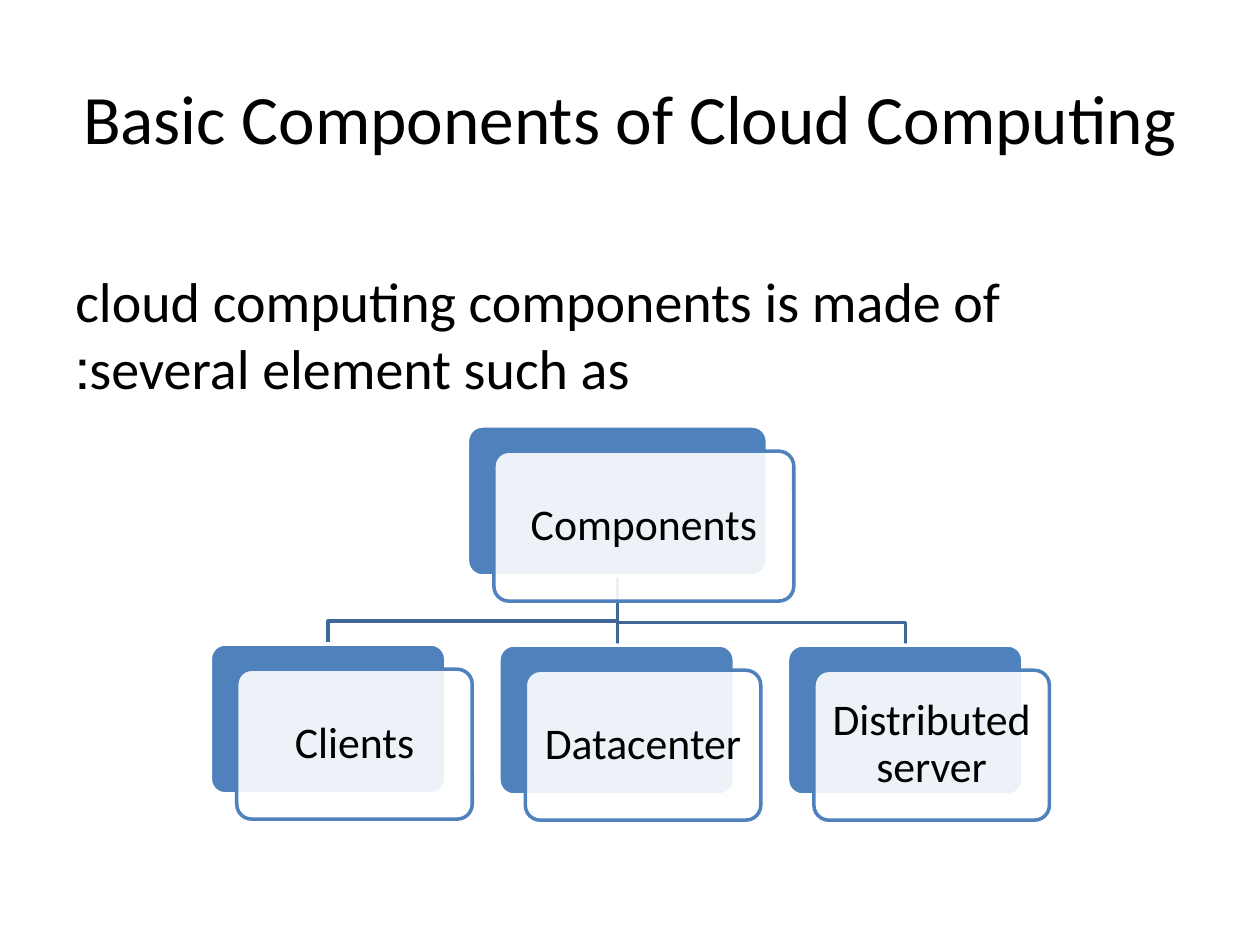
from lxml import etree
from pptx import Presentation
from pptx.dml.color import RGBColor
from pptx.enum.shapes import MSO_CONNECTOR as Connector, MSO_SHAPE as Shape
from pptx.enum.text import MSO_ANCHOR as Anchor, MSO_AUTO_SIZE as AutoSize, PP_ALIGN as Align
from pptx.oxml.ns import qn
from pptx.util import Pt

# Content
TITLE = "Basic Components of Cloud Computing"
INTRO = "cloud computing components is made of several element such as:"
ROOT = ("Components", 267.1, 243.4, 171.4)
CHILDREN = [("Clients", 368), ("Datacenter", 368.6), ("Distributed server", 368.6)]

# Layout, in points
CHILD_LEFT, CHILD_PITCH, CHILD_WIDTH = 120.2, 164.9, 134.6
CARD_HEIGHT, OFFSET_X, OFFSET_Y = 85.7, 15.1, 14.4
BEND = 13
BLUE, DARK_BLUE, WHITE, BLACK = "4F81BD", "3F6797", "FFFFFF", "000000"


def color(value):
    return RGBColor.from_string(value)


def write(frame, text, size, align):
    frame.text = text
    frame.word_wrap = True
    frame.auto_size = AutoSize.NONE
    para = frame.paragraphs[0]
    para.alignment = align
    font = para.runs[0].font
    font.name, font.size = "Calibri", Pt(size)
    font.color.rgb = color(BLACK)
    return para


def style_line(line, value):
    line.color.rgb = color(value)
    line.width = Pt(2)


def add_panel(left, top, width, fill, outline):
    panel = page.shapes.add_shape(Shape.ROUNDED_RECTANGLE, Pt(left), Pt(top),
                                  Pt(width), Pt(CARD_HEIGHT))
    panel.adjustments[0] = 0.1
    panel.shadow.inherit = False
    panel.fill.solid()
    panel.fill.fore_color.rgb = color(fill)
    style_line(panel.line, outline)
    return panel


def add_card(label, left, top, width):
    add_panel(left, top, width, BLUE, WHITE)
    front = add_panel(left + OFFSET_X, top + OFFSET_Y, width, WHITE, BLUE)
    tint = front.fill._xPr.find(qn("a:solidFill"))[0]
    etree.SubElement(tint, qn("a:alpha")).set("val", "90000")
    frame = front.text_frame
    frame.margin_left = frame.margin_right = Pt(7.2)
    frame.vertical_anchor = Anchor.MIDDLE
    write(frame, label, 25, Align.CENTER).line_spacing = 0.9


def add_branch(start_x, start_y, end_x, end_y):
    if abs(start_x - end_x) < 1:
        branch = page.shapes.add_connector(Connector.STRAIGHT, Pt(start_x), Pt(start_y),
                                           Pt(start_x), Pt(end_y))
        etree.SubElement(branch._element.spPr, qn("a:effectLst"))
    else:
        bend_y = end_y - BEND
        builder = page.shapes.build_freeform(Pt(start_x), Pt(start_y))
        builder.add_line_segments([(Pt(start_x), Pt(bend_y)), (Pt(end_x), Pt(bend_y)),
                                   (Pt(end_x), Pt(end_y))], close=False)
        branch = builder.convert_to_shape()
        branch.fill.background()
        branch.shadow.inherit = False
    style_line(branch.line, DARK_BLUE)


deck = Presentation()
deck.slide_width, deck.slide_height = Pt(720), Pt(540)
page = deck.slides.add_slide(deck.slide_layouts[5])

# Title
title = page.shapes.title
title.left, title.top, title.width, title.height = Pt(36), Pt(21.6), Pt(648), Pt(90)
title.text_frame.vertical_anchor = Anchor.MIDDLE
write(title.text_frame, TITLE, 39.6, Align.CENTER)

# Right-to-left introduction
intro = page.shapes.add_textbox(Pt(36), Pt(102.2), Pt(648), Pt(380.2))
intro.text_frame.margin_top = Pt(50)
intro.text_frame.margin_right = Pt(36)
para = write(intro.text_frame, INTRO, 32, Align.LEFT)
para._p.get_or_add_pPr().set("rtl", "1")

# Branches behind the cards
_, root_left, root_top, root_width = ROOT
cards = [(label, CHILD_LEFT + index * CHILD_PITCH, top, CHILD_WIDTH)
         for index, (label, top) in enumerate(CHILDREN)]
for _, left, top, width in reversed(cards):
    add_branch(root_left + root_width / 2, root_top + CARD_HEIGHT, left + width / 2, top)

# Cards
for card in [ROOT, *cards]:
    add_card(*card)

deck.save("out.pptx")
